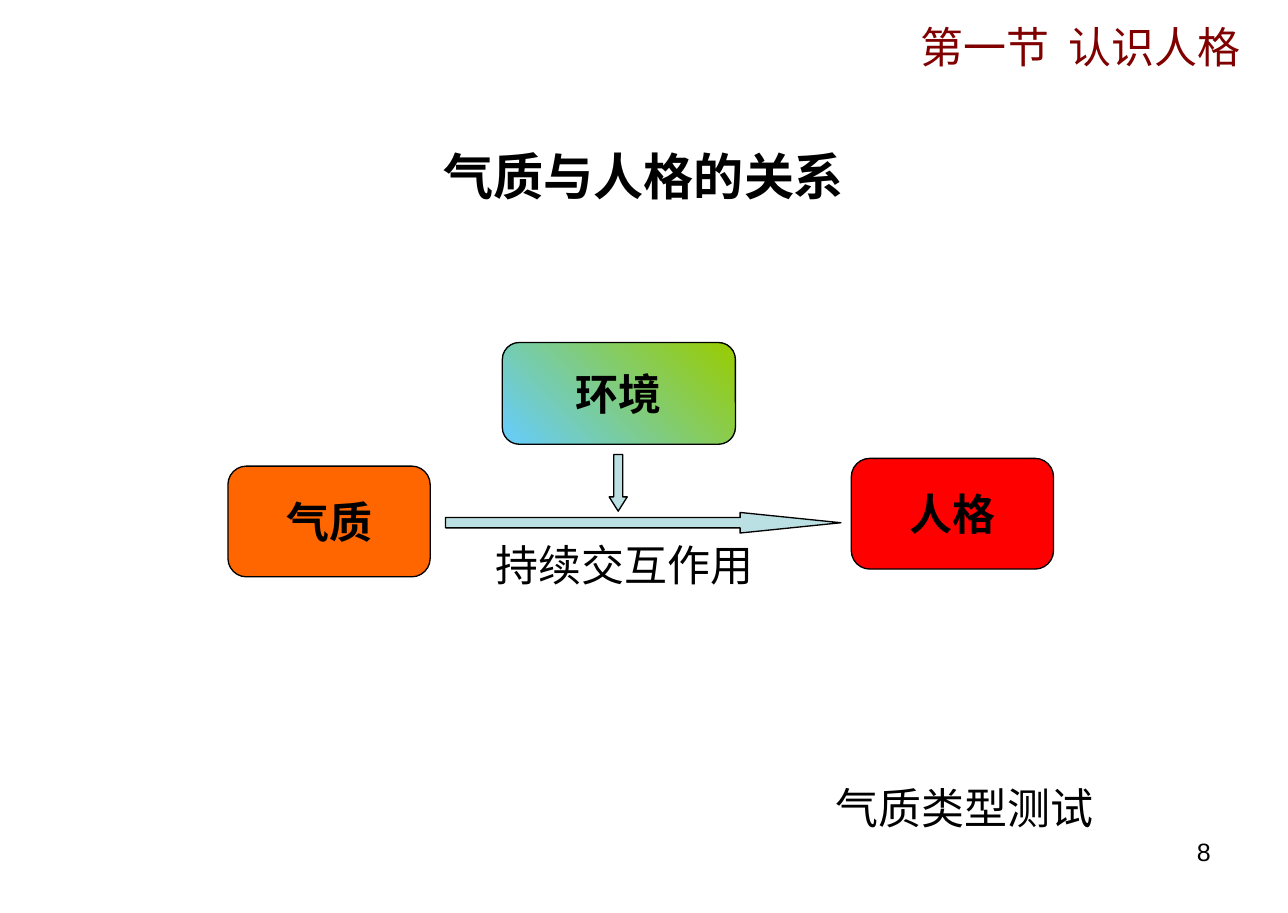
from lxml import etree
from pptx import Presentation
from pptx.dml.color import RGBColor
from pptx.enum.shapes import MSO_SHAPE
from pptx.enum.text import MSO_ANCHOR, PP_ALIGN
from pptx.oxml.ns import qn
from pptx.util import Pt

PX = 9144
BOX = MSO_SHAPE.FLOWCHART_ALTERNATE_PROCESS
RIGHT_ARROW, DOWN_ARROW = MSO_SHAPE.RIGHT_ARROW, MSO_SHAPE.DOWN_ARROW
LEFT, CENTER, RIGHT = PP_ALIGN.LEFT, PP_ALIGN.CENTER, PP_ALIGN.RIGHT
TOP, MIDDLE = MSO_ANCHOR.TOP, MSO_ANCHOR.MIDDLE
LATIN, CHINESE = "Arial", "Noto Sans CJK SC"


def color(value):
    return RGBColor.from_string(value)


def write(shape, text, size, align, anchor, bold=False, ink="000000", face=LATIN, wrap=True):
    frame = shape.text_frame
    frame.text = text
    frame.word_wrap = wrap
    frame.vertical_anchor = anchor
    paragraph = frame.paragraphs[0]
    paragraph.alignment = align
    font = paragraph.runs[0].font
    font.size = Pt(size)
    font.bold = bold
    font.color.rgb = color(ink)
    font.name = face
    etree.SubElement(paragraph.runs[0]._r.rPr, qn("a:ea"), typeface=CHINESE)
    return paragraph


prs = Presentation()
prs.slide_width, prs.slide_height = 1000 * PX, 709 * PX
slide = prs.slides.add_slide(prs.slide_layouts[5])

title = slide.shapes.title
title.left, title.top, title.width, title.height = 50 * PX, 106 * PX, 900 * PX, 60 * PX
write(title, "气质与人格的关系", 28, CENTER, MIDDLE, bold=True)

diagram = [
    (BOX, 177, 362, 157, 86, ["FF6600"], "气质", []),
    (BOX, 390, 266, 181, 79, ["66CCFF", "99CC00"], "环境", []),
    (BOX, 661, 356, 157, 86, ["FF0000"], "人格", []),
    (RIGHT_ARROW, 346, 398, 307, 16, ["BBE0E3"], "", [0.5, 4.9]),
    (DOWN_ARROW, 473, 353, 14, 44, ["BBE0E3"], "", [0.5, 0.79]),
]
for kind, x, y, w, h, fills, label, adjustments in diagram:
    part = slide.shapes.add_shape(kind, x * PX, y * PX, w * PX, h * PX)
    part.shadow.inherit = False
    for index, value in enumerate(adjustments):
        part.adjustments[index] = value
    if len(fills) > 1:
        part.fill.gradient()
        part.fill.gradient_angle = 45
        for stop, shade in zip(part.fill.gradient_stops, fills):
            stop.color.rgb = color(shade)
    else:
        part.fill.solid()
        part.fill.fore_color.rgb = color(fills[0])
    part.line.color.rgb = color("000000")
    part.line.width = Pt(0.75)
    if label:
        write(part, label, 24, CENTER, MIDDLE, bold=True, wrap=False)

captions = [
    ("持续交互作用", 375, 413, 228, 50, 24, LEFT, "000000", LATIN, 1),
    ("第一节  认识人格", 335, 16, 638, 47, 24, RIGHT, "800000", CHINESE, 0.9),
    ("气质类型测试", 639, 602, 230, 50, 24, LEFT, "000000", CHINESE, 1),
    ("8", 717, 645, 233, 49, 14, RIGHT, "000000", LATIN, 1),
]
for text, x, y, w, h, size, align, ink, face, spacing in captions:
    caption = slide.shapes.add_textbox(x * PX, y * PX, w * PX, h * PX)
    paragraph = write(caption, text, size, align, TOP, ink=ink, face=face)
    paragraph.line_spacing = spacing

prs.save("out.pptx")
